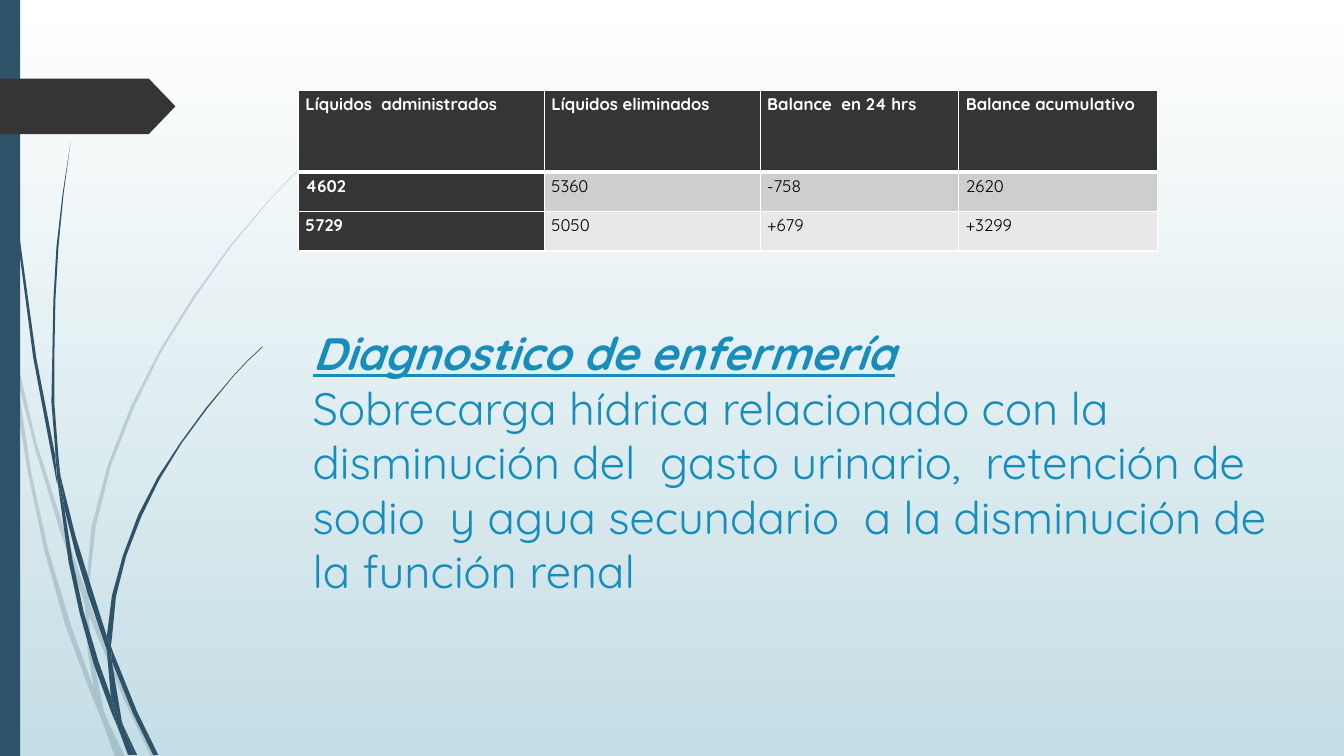
from lxml.etree import SubElement
from pptx import Presentation
from pptx.dml.color import RGBColor
from pptx.enum.shapes import MSO_SHAPE
from pptx.enum.text import MSO_ANCHOR, MSO_AUTO_SIZE, PP_ALIGN
from pptx.oxml.ns import qn
from pptx.util import Inches, Pt

WHITE = RGBColor(0xFF, 0xFF, 0xFF)
BLACK = RGBColor(0, 0, 0)
MIST = RGBColor(0xC5, 0xDE, 0xE5)
NAVY = RGBColor(0x2E, 0x53, 0x69)
DARK = RGBColor(0x35, 0x35, 0x35)
BLUE = RGBColor(0x17, 0x8D, 0xBB)
GREYS = [RGBColor(0xCE, 0xCE, 0xCE), RGBColor(0xE8, 0xE8, 0xE8)]
FONT = "Quicksand"
UNIT = Inches(0.01)

PALE = [
    [(11, 350), (9, 322), (0, 282), (0, 299), (10, 344)],
    [(58, 522), (84, 599), (85, 586), (62, 520), (36, 439), (14, 345), (17, 376), (35, 446)],
    [(92, 607), (88, 596), (88, 610), (123, 694), (150, 751), (155, 751), (127, 692)],
    [(119, 751), (124, 751), (105, 711)],
    [(93, 683), (70, 619), (48, 546), (31, 469), (17, 376), (11, 350), (18, 410), (28, 470),
     (44, 546), (65, 621), (92, 693), (101, 714), (99, 707)],
    [(84, 599), (87, 646), (93, 683), (96, 692), (105, 711), (103, 706), (91, 646), (88, 610),
     (88, 608)],
    [(88, 584), (95, 522), (110, 462), (133, 404), (160, 349), (193, 296), (229, 245),
     (268, 198), (290, 175), (312, 154), (312, 153), (289, 175), (268, 197), (228, 244),
     (191, 295), (158, 348), (130, 403), (107, 461), (91, 522), (85, 584), (85, 586), (88, 596)],
    [(101, 714), (114, 751), (119, 751)],
    [(88, 608), (88, 610), (88, 596), (85, 586), (84, 599)],
    [(96, 692), (93, 683), (99, 707), (101, 714), (119, 751), (105, 711)],
]
DEEP = [
    [(7, 110), (17, 233), (33, 355), (56, 477), (57, 481), (55, 457), (55, 453), (36, 355),
     (19, 232), (8, 109), (5, 48), (4, 0), (3, 0), (4, 48)],
    [(88, 592), (106, 645), (106, 633), (106, 631), (93, 590), (75, 532), (60, 472), (64, 505),
     (75, 549)],
    [(113, 649), (110, 641), (111, 656), (132, 708), (152, 749), (157, 749), (136, 706)],
    [(110, 691), (98, 657), (83, 607), (72, 556), (64, 505), (57, 477), (68, 557), (79, 608),
     (93, 659), (111, 708), (117, 722), (116, 717)],
    [(60, 472), (58, 453), (54, 401), (54, 349), (55, 297), (58, 245), (63, 193), (70, 141),
     (62, 193), (56, 245), (53, 297), (52, 349), (51, 399), (55, 449)],
    [(133, 749), (136, 749), (122, 719)],
    [(57, 477), (64, 505), (60, 472), (55, 449), (55, 453)],
    [(111, 633), (115, 592), (125, 552), (140, 513), (158, 476), (180, 440), (205, 406),
     (231, 374), (245, 359), (261, 344), (260, 344), (245, 358), (231, 373), (204, 405),
     (179, 439), (156, 474), (137, 511), (122, 551), (111, 591), (106, 631), (110, 641)],
    [(117, 722), (127, 749), (131, 749)],
    [(106, 645), (110, 691), (116, 706), (122, 719), (121, 716), (111, 656), (109, 651)],
    [(106, 645), (109, 651), (111, 656), (110, 641), (106, 631), (106, 633)],
    [(116, 706), (110, 691), (116, 717), (117, 722), (130, 749), (133, 749), (122, 719)],
]
ROWS = [
    ["Líquidos  administrados", "Líquidos eliminados", "Balance  en 24 hrs", "Balance acumulativo"],
    ["4602", "5360", "-758", "2620"],
    ["5729", "5050", "+679", "+3299"],
]
HEAD = "Diagnostico de enfermería"
BODY = ("Sobrecarga hídrica relacionado con la disminución del  gasto urinario,  "
        "retención de sodio  y agua secundario  a la disminución de la función renal")


def paint(shape, color):
    shape.shadow.inherit = False
    shape.fill.solid()
    shape.fill.fore_color.rgb = color
    shape.line.fill.background()


def add_blade(slide, left, top, edge, alpha=None):
    pen = slide.shapes.build_freeform(*edge[0], scale=UNIT)
    pen.add_line_segments(edge[1:])
    blade = pen.convert_to_shape(Inches(left), Inches(top))
    paint(blade, NAVY)
    if alpha:
        tint = blade.fill._xPr.find(qn("a:solidFill"))[0]
        SubElement(tint, qn("a:alpha"), val=str(alpha * 1000))


def add_side(slide, left, top, height):
    for edge in PALE:
        add_blade(slide, left, top, edge, 20)
    for edge in DEEP:
        add_blade(slide, left, top, edge)
    bar = slide.shapes.add_shape(
        MSO_SHAPE.RECTANGLE, Inches(left), Inches(top), Inches(0.2), Inches(height))
    paint(bar, NAVY)
    tag = slide.shapes.add_shape(
        MSO_SHAPE.PENTAGON, Inches(left), Inches(top + 0.78), Inches(1.74), Inches(0.55))
    tag.adjustments[0] = 0.48
    paint(tag, DARK)


def add_title(slide, left, top, width, height):
    title = slide.shapes.title
    title.left, title.top = Inches(left), Inches(top)
    title.width, title.height = Inches(width), Inches(height)
    frame = title.text_frame
    frame.text = HEAD + "\v" + BODY
    frame.word_wrap = True
    frame.auto_size = MSO_AUTO_SIZE.NONE
    frame.vertical_anchor = MSO_ANCHOR.TOP
    para = frame.paragraphs[0]
    para.alignment = PP_ALIGN.LEFT
    para.line_spacing = 1.0
    for i, run in enumerate(para.runs):
        font = run.font
        font.name, font.size = FONT, Pt(32.4)
        font.color.rgb = BLUE
        font.bold = font.italic = font.underline = i == 0


def set_edges(cell, row):
    props = cell._tc.get_or_add_tcPr()
    wide = {"T": 3 if row == 1 else 1, "B": 3 if row == 0 else 1}
    for i, side in enumerate("LRTB"):
        line = props.makeelement(qn("a:ln" + side), {"w": str(Pt(wide.get(side, 1)))})
        fill = SubElement(line, qn("a:solidFill"))
        SubElement(fill, qn("a:srgbClr"), val=str(WHITE))
        props.insert(i, line)


def set_cell(cell, text, row, col):
    strong = row == 0 or col == 0
    cell.margin_left = cell.margin_right = Inches(0.07)
    cell.margin_top = cell.margin_bottom = 0
    cell.fill.solid()
    cell.fill.fore_color.rgb = DARK if strong else GREYS[row - 1]
    set_edges(cell, row)
    para = cell.text_frame.paragraphs[0]
    para.text = text
    para.alignment = PP_ALIGN.JUSTIFY
    para.line_spacing = 1.15
    para.space_before = para.space_after = Pt(12)
    font = para.runs[0].font
    font.name, font.size, font.bold = FONT, Pt(12), strong
    font.color.rgb = WHITE if strong else BLACK


def add_grid(slide, left, top, width, height):
    table = slide.shapes.add_table(
        len(ROWS), len(ROWS[0]), Inches(left), Inches(top), Inches(width), Inches(height)).table
    for col, size in zip(table.columns, [2.44, 2.14, 1.97, 1.97]):
        col.width = Inches(size)
    for row, size in zip(table.rows, [0.81, 0.39, 0.39]):
        row.height = Inches(size)
    for r, row in enumerate(ROWS):
        for c, text in enumerate(row):
            set_cell(table.cell(r, c), text, r, c)


def set_back(slide):
    fill = slide.background.fill
    fill.gradient()
    fill.gradient_angle = 270
    for stop, color, place in zip(fill.gradient_stops, [WHITE, MIST], [0, 1]):
        stop.color.rgb = color
        stop.position = place


def main():
    deck = Presentation()
    deck.slide_width, deck.slide_height = Inches(13.33), Inches(7.5)
    slide = deck.slides.add_slide(deck.slide_layouts[5])
    set_back(slide)
    add_side(slide, 0, 0, 7.5)
    add_title(slide, 3, 3.18, 9.75, 1.4)
    add_grid(slide, 2.96, 0.9, 8.52, 1.59)
    deck.save("out.pptx")


if __name__ == "__main__":
    main()
